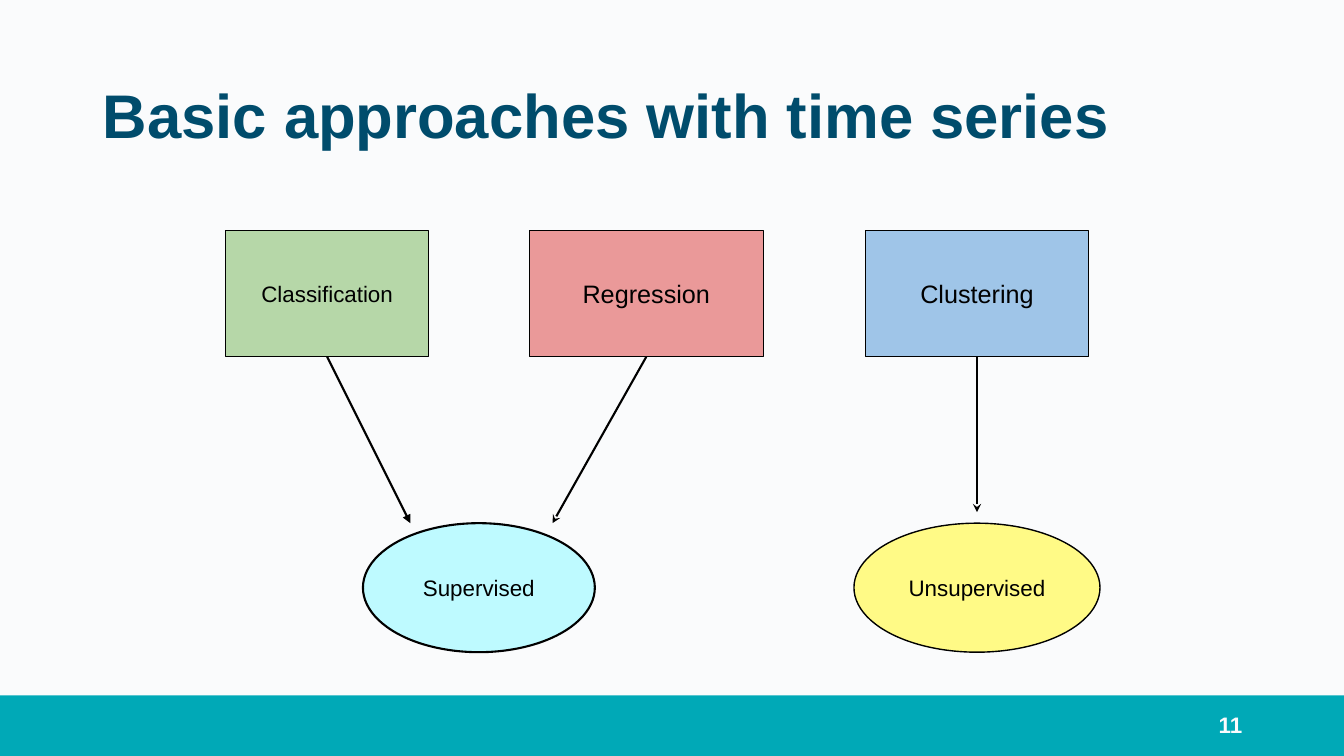
from dataclasses import dataclass

from lxml import etree
from pptx import Presentation
from pptx import util as u
from pptx.dml.color import RGBColor
from pptx.enum import shapes, text
from pptx.oxml import ns

FONT = "Arial"
BLACK = "000000"
APPROACH_TOP, APPROACH_HEIGHT = 2.29, 1.25
LEARNING_TOP, LEARNING_HEIGHT = 5.19, 1.28
APPROACH_BOTTOM = APPROACH_TOP + APPROACH_HEIGHT


@dataclass(frozen=True)
class Approach:
    label: str
    left: float
    width: float
    fill: str
    size: int
    arrow_tip: tuple[float, float]
    arrowhead: str


@dataclass(frozen=True)
class Learning:
    label: str
    left: float
    width: float
    fill: str
    outline: float


APPROACHES = [
    Approach("Classification", 2.24, 2.01, "B6D7A8", 16, (4.07, LEARNING_TOP), "triangle"),
    Approach("Regression", 5.25, 2.32, "EA9999", 18, (5.48, LEARNING_TOP), "stealth"),
    Approach("Clustering", 8.58, 2.22, "9FC5E8", 18, (9.69, 5.08), "stealth"),
]
LEARNINGS = [
    Learning("Supervised", 3.6, 2.3, "BEFAFF", 1.5),
    Learning("Unsupervised", 8.47, 2.44, "FFFA86", 1),
]


def color(value: str) -> RGBColor:
    return RGBColor.from_string(value)


def write(shape, words: str, size: float, ink: str, align, bold: bool = False) -> None:
    """Put one vertically centred line of text in a shape."""
    frame = shape.text_frame
    frame.word_wrap = True
    frame.vertical_anchor = text.MSO_ANCHOR.MIDDLE
    paragraph = frame.paragraphs[0]
    paragraph.alignment = align
    run = paragraph.add_run()
    run.text = words
    run.font.name = FONT
    run.font.size = u.Pt(size)
    run.font.bold = bold
    run.font.color.rgb = color(ink)


def add_filled(slide, kind, box: tuple[float, float, float, float], fill: str,
               outline: float = 0):
    shape = slide.shapes.add_shape(kind, *map(u.Inches, box))
    shape.shadow.inherit = False
    shape.fill.solid()
    shape.fill.fore_color.rgb = color(fill)
    if outline:
        shape.line.color.rgb = color(BLACK)
        shape.line.width = u.Pt(outline)
    else:
        shape.line.fill.background()
    return shape


def add_text(slide, box: tuple[float, float, float, float], words: str,
             size: float, ink: str, align) -> None:
    write(slide.shapes.add_textbox(*map(u.Inches, box)), words, size, ink, align, bold=True)


def add_arrow(slide, source, approach: Approach) -> None:
    middle = approach.left + approach.width / 2
    points = (middle, APPROACH_BOTTOM, *approach.arrow_tip)
    arrow = slide.shapes.add_connector(shapes.MSO_CONNECTOR.STRAIGHT, *map(u.Inches, points))
    arrow.begin_connect(source, 2)
    arrow.line.color.rgb = color(BLACK)
    arrow.line.width = u.Pt(1.5)
    tail = etree.SubElement(arrow.line._get_or_add_ln(), ns.qn("a:tailEnd"))
    tail.set("type", approach.arrowhead)
    etree.SubElement(arrow._element.spPr, ns.qn("a:effectLst"))


def add_approach(slide, approach: Approach) -> None:
    box = (approach.left, APPROACH_TOP, approach.width, APPROACH_HEIGHT)
    card = add_filled(slide, shapes.MSO_SHAPE.RECTANGLE, box, approach.fill, 0.75)
    write(card, approach.label, approach.size, BLACK, text.PP_ALIGN.CENTER)
    add_arrow(slide, card, approach)


def add_learning(slide, learning: Learning) -> None:
    box = (learning.left, LEARNING_TOP, learning.width, LEARNING_HEIGHT)
    oval = add_filled(slide, shapes.MSO_SHAPE.OVAL, box, learning.fill, learning.outline)
    write(oval, learning.label, 16, BLACK, text.PP_ALIGN.CENTER)


def main() -> None:
    deck = Presentation()
    deck.slide_width, deck.slide_height = u.Inches(13.33), u.Inches(7.5)
    slide = deck.slides.add_slide(deck.slide_layouts[6])
    slide.background.fill.solid()
    slide.background.fill.fore_color.rgb = color("FAFBFC")

    add_filled(slide, shapes.MSO_SHAPE.RECTANGLE, (0, 6.9, 13.33, 0.6), "00A9B7")
    add_text(slide, (0.92, 0.4, 11.5, 1.45), "Basic approaches with time series",
             44, "004C6C", text.PP_ALIGN.LEFT)
    add_text(slide, (9.42, 6.99, 3, 0.4), "11", 16, "FAFBFD", text.PP_ALIGN.RIGHT)
    for approach in APPROACHES:
        add_approach(slide, approach)
    for learning in LEARNINGS:
        add_learning(slide, learning)
    deck.save("out.pptx")


if __name__ == "__main__":
    main()
